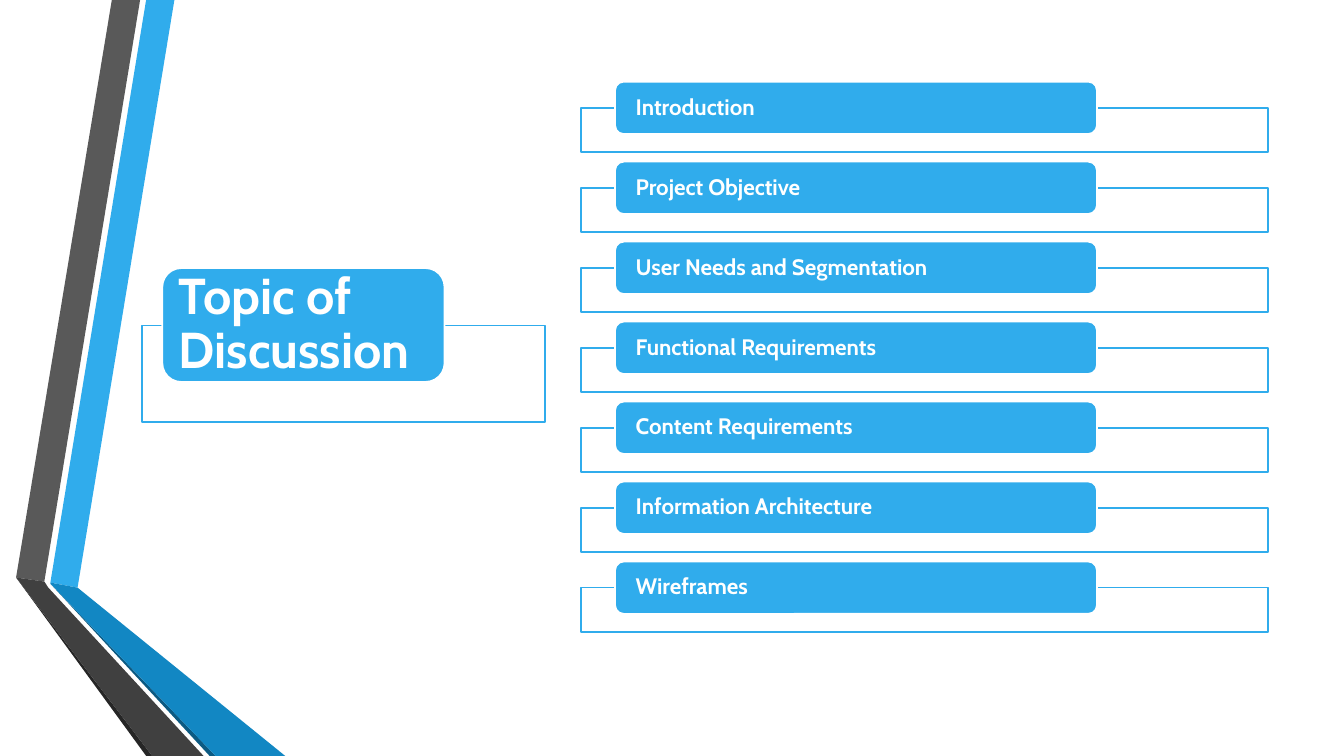
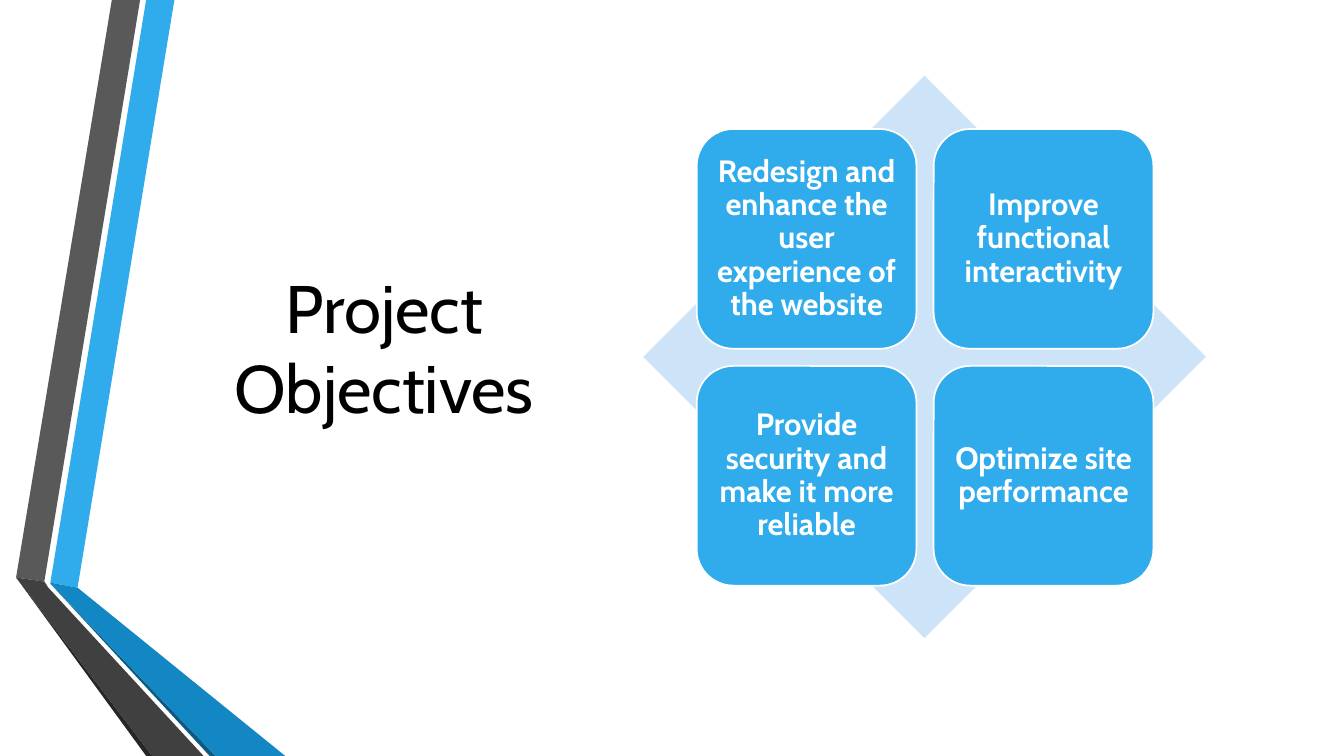
from dataclasses import dataclass
from itertools import product

from pptx import Presentation
from pptx.dml.color import RGBColor
from pptx.enum.shapes import MSO_SHAPE
from pptx.enum.text import MSO_ANCHOR, PP_ALIGN
from pptx.util import Inches, Pt


@dataclass(frozen=True)
class Theme:
    font: str = "Cabin"
    accent: str = "30ACEC"
    accent_dark: str = "1287C3"
    accent_deep: str = "0C5A82"
    accent_pale: str = "CDE3F8"
    gray: str = "595959"
    gray_dark: str = "404040"
    gray_deep: str = "262626"
    white: str = "FFFFFF"
    black: str = "000000"
    title_size: int = 48
    heading_size: int = 36
    card_size: int = 22
    topic_size: int = 16
    outline_width: float = 1.25


THEME = Theme()

RIBBON_FACETS = [
    (THEME.accent, [(0.5, 5.78), (0.77, 5.83), (1.73, 0), (1.45, 0)]),
    (THEME.gray, [(1.39, 0), (1.11, 0), (0.16, 5.73), (0.44, 5.77)]),
    (THEME.gray_deep, [(0.16, 5.73), (1.45, 7.5), (1.51, 7.5)]),
    (THEME.accent_deep, [(0.5, 5.79), (2.08, 7.5), (2.14, 7.5)]),
    (THEME.accent_dark, [(0.5, 5.78), (0.5, 5.79), (2.14, 7.5), (2.83, 7.5), (0.77, 5.83)]),
    (THEME.gray_dark, [(0.16, 5.73), (1.51, 7.5), (2.02, 7.5), (0.48, 5.83), (0.44, 5.77)]),
]

TOPICS = [
    "Introduction",
    "Project Objective",
    "User Needs and Segmentation",
    "Functional Requirements",
    "Content Requirements",
    "Information Architecture",
    "Wireframes",
]

OBJECTIVES = [
    "Redesign and enhance the user experience of the website",
    "Improve functional interactivity",
    "Provide security and make it more reliable",
    "Optimize site performance",
]


def set_attributes(target, values):
    for name, value in values.items():
        setattr(target, name, value)


class Deck:
    def __init__(self, theme):
        self.theme = theme
        self.presentation = Presentation()
        set_attributes(self.presentation, {
            "slide_width": Inches(13.33), "slide_height": Inches(7.5)})
        self.slide = None

    def new_slide(self):
        self.slide = self.presentation.slides.add_slide(self.presentation.slide_layouts[6])
        self.ribbon()

    def paint(self, shape, fill, line=None):
        shape.shadow.inherit = False
        shape.fill.solid()
        shape.fill.fore_color.rgb = RGBColor.from_string(fill)
        if line:
            shape.line.color.rgb = RGBColor.from_string(line)
            shape.line.width = Pt(self.theme.outline_width)
        else:
            shape.line.fill.background()

    def ribbon(self):
        """Draw the folded two-colour ribbon down the left edge."""
        facets = self.slide.shapes.add_group_shape().shapes
        for color, corners in RIBBON_FACETS:
            start, *others = [(Inches(x), Inches(y)) for x, y in corners]
            outline = facets.build_freeform(*start)
            outline.add_line_segments(others, close=True)
            self.paint(outline.convert_to_shape(), color)

    def box(self, preset, area, fill, line=None):
        shape = self.slide.shapes.add_shape(preset, *map(Inches, area))
        self.paint(shape, fill, line)
        return shape

    def set_text(self, holder, text, size, color, bold=True, align=PP_ALIGN.LEFT,
                 anchor=MSO_ANCHOR.MIDDLE, spacing=0.9, insets=(0.1, 0.05)):
        """Fill a shape with one paragraph; insets are (side, top and bottom)."""
        side, edge = map(Inches, insets)
        frame = holder.text_frame
        set_attributes(frame, {
            "word_wrap": True, "vertical_anchor": anchor, "margin_left": side,
            "margin_right": side, "margin_top": edge, "margin_bottom": edge})
        paragraph = frame.paragraphs[0]
        set_attributes(paragraph, {"alignment": align, "line_spacing": spacing})
        run = paragraph.add_run()
        run.text = text
        set_attributes(run.font, {"name": self.theme.font, "size": Pt(size), "bold": bold})
        run.font.color.rgb = RGBColor.from_string(color)

    def title(self, text, area):
        holder = self.slide.shapes.add_textbox(*map(Inches, area))
        self.set_text(holder, text, self.theme.title_size, self.theme.black, bold=False,
                      align=PP_ALIGN.CENTER, anchor=MSO_ANCHOR.BOTTOM, spacing=1.0)

    def label(self, text, area, size, **layout):
        """Draw a rounded accent box with white text."""
        holder = self.box(MSO_SHAPE.ROUNDED_RECTANGLE, area, self.theme.accent, self.theme.white)
        self.set_text(holder, text, size, self.theme.white, **layout)

    def tabbed_frame(self, text, frame_area, tab_area, size, side_inset):
        """Draw an outlined frame with a label over its top edge."""
        self.box(MSO_SHAPE.RECTANGLE, frame_area, self.theme.white, self.theme.accent)
        self.label(text, tab_area, size, insets=(side_inset, 0))


def add_topics_slide(deck):
    deck.new_slide()
    deck.tabbed_frame("Topic of Discussion", (1.41, 3.23, 4, 0.96),
                      (1.61, 2.66, 2.8, 1.13), deck.theme.heading_size, 0.11)
    first_top, last_top, tab_rise = 1.07, 5.83, 0.26
    pitch = (last_top - first_top) / (len(TOPICS) - 1)
    for row, topic in enumerate(TOPICS):
        top = first_top + row * pitch
        deck.tabbed_frame(topic, (5.76, top, 6.82, 0.44),
                          (6.1, top - tab_rise, 4.78, 0.52), deck.theme.topic_size, 0.18)


def add_objectives_slide(deck):
    deck.new_slide()
    deck.title("Project Objectives", (1.87, 2.79, 3.88, 1.5))
    deck.box(MSO_SHAPE.DIAMOND, (6.38, 0.75, 5.58, 5.58), deck.theme.accent_pale)
    left, top, side, pitch = 6.91, 1.28, 2.18, 2.35
    for (row, column), objective in zip(product(range(2), repeat=2), OBJECTIVES):
        deck.label(objective, (left + column * pitch, top + row * pitch, side, side),
                   deck.theme.card_size, align=PP_ALIGN.CENTER, insets=(0.09, 0.09))


def main():
    deck = Deck(THEME)
    add_topics_slide(deck)
    add_objectives_slide(deck)
    deck.presentation.save("out.pptx")


if __name__ == "__main__":
    main()
